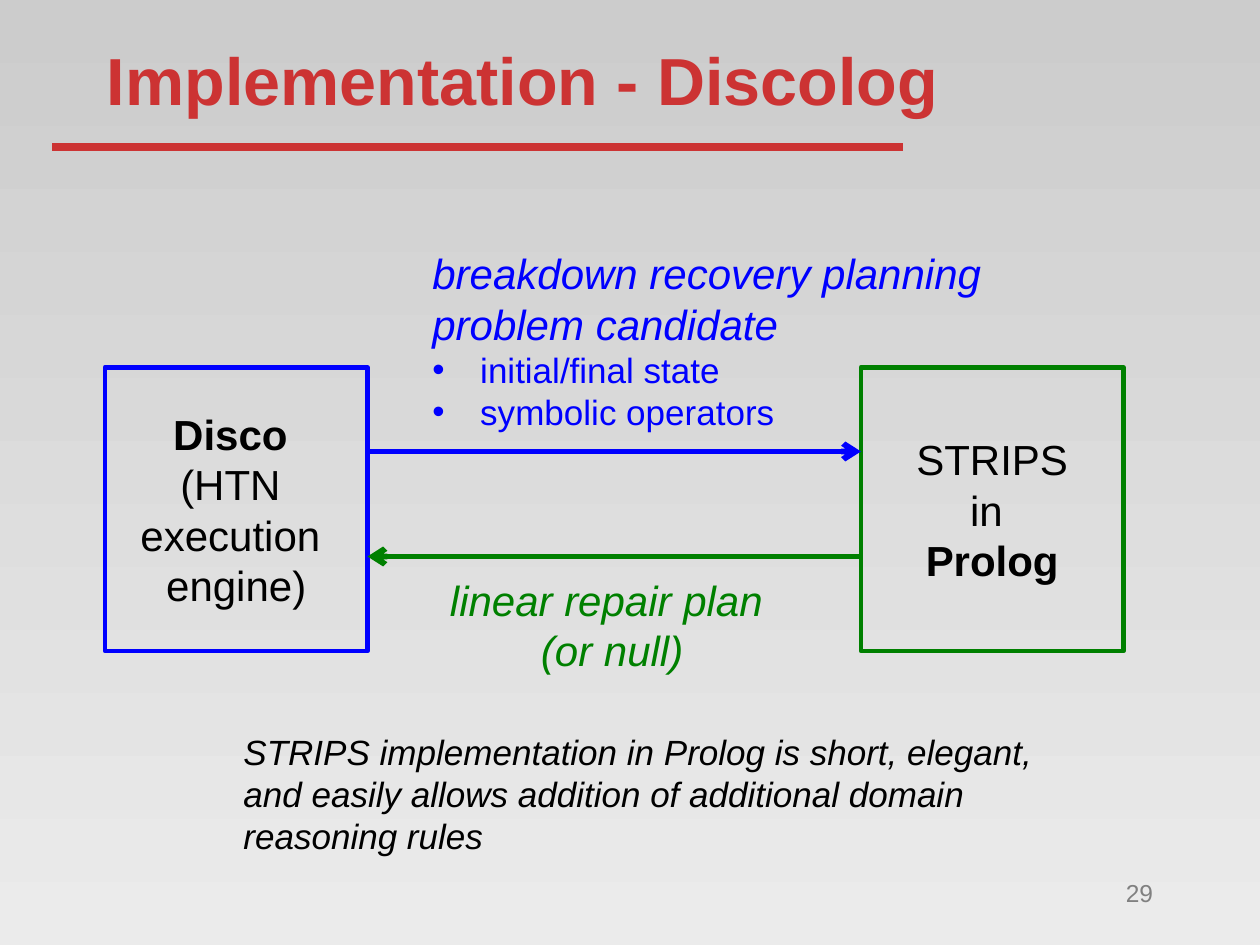
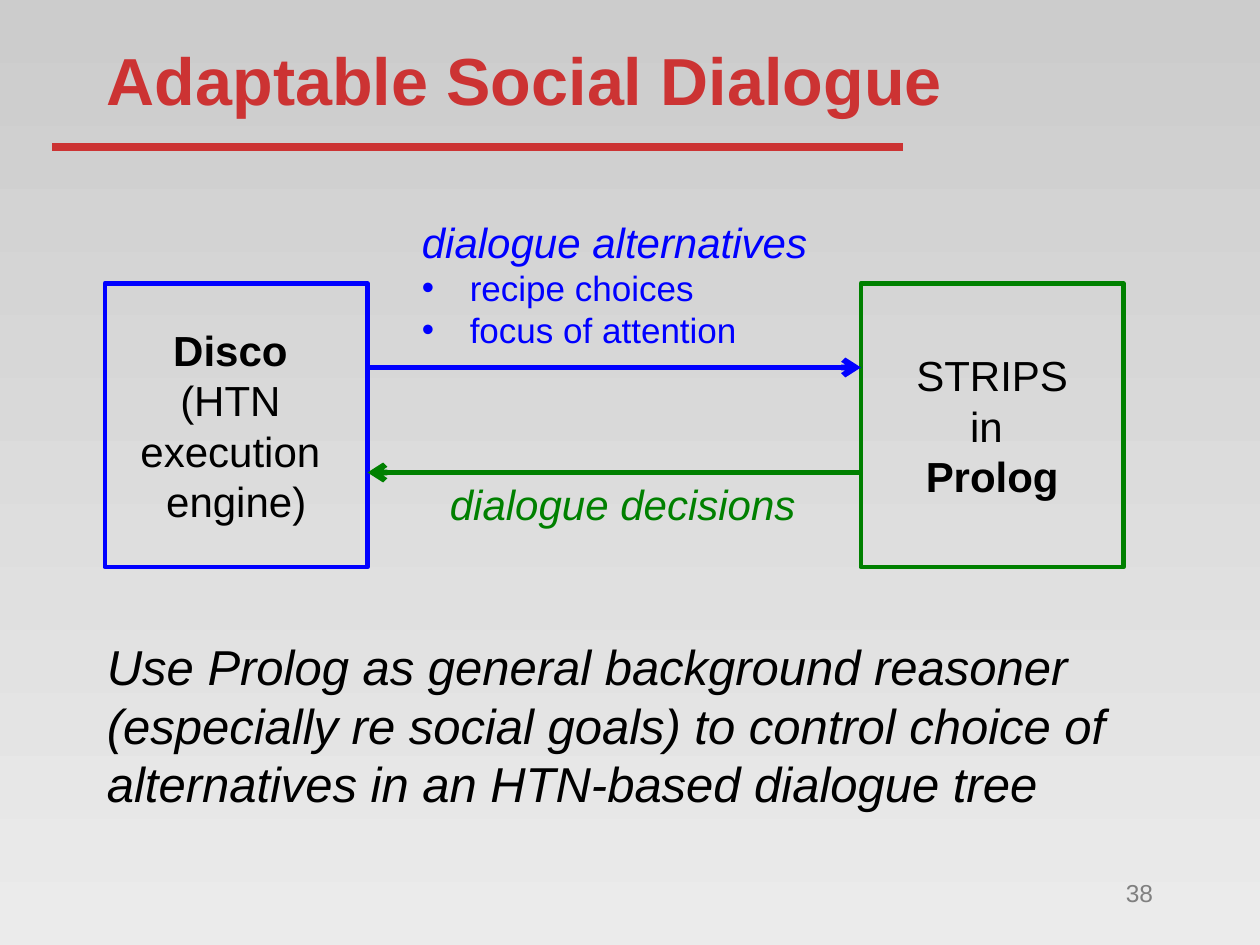
from lxml.etree import SubElement
from pptx import Presentation
from pptx.dml.color import RGBColor
from pptx.enum.shapes import MSO_CONNECTOR, MSO_SHAPE
from pptx.enum.text import MSO_ANCHOR, PP_ALIGN
from pptx.oxml.ns import qn
from pptx.util import Inches, Pt

RED = RGBColor(0xCC, 0x33, 0x33)
BLUE = RGBColor(0x00, 0x00, 0xFF)
GREEN = RGBColor(0x00, 0x80, 0x00)
BLACK = RGBColor(0x00, 0x00, 0x00)
GRAY = RGBColor(0x80, 0x80, 0x80)
SKY_TOP = RGBColor(0xCC, 0xCC, 0xCC)
SKY_BOTTOM = RGBColor(0xEB, 0xEB, 0xEB)

deck = Presentation()
deck.slide_width, deck.slide_height = Inches(10), Inches(7.5)
COLUMN = deck.slide_width / 12
BOX_WIDTH, BOX_HEIGHT = 2.5, 2.7
DISCO_LEFT, STRIPS_LEFT = 1, 8.2
DISCO_RIGHT = DISCO_LEFT + BOX_WIDTH


def write(frame, lines, size, color, bold=False, italic=False,
          align=PP_ALIGN.LEFT, wrap=True, anchor=MSO_ANCHOR.TOP):
    frame.word_wrap = wrap
    frame.vertical_anchor = anchor
    for number, line in enumerate(lines):
        paragraph = frame.paragraphs[0] if number == 0 else frame.add_paragraph()
        bulleted = line.startswith("•")
        paragraph.text = line.lstrip("•")
        paragraph.alignment = align
        font = paragraph.font
        font.name, font.color.rgb = "Arial", color
        font.size = Pt(20 if bulleted else size)
        font.bold = bold or line.strip() in ("Disco", "Prolog")
        font.italic = italic and not bulleted
        if bulleted:
            properties = paragraph._p.get_or_add_pPr()
            properties.set("marL", str(Inches(0.38)))
            properties.set("indent", str(-Inches(0.38)))
            SubElement(properties, qn("a:buFont"), typeface="Arial")
            SubElement(properties, qn("a:buChar"), char="•")


def draw_line(slide, start, end, y, color, width, arrow=False):
    line = slide.shapes.add_connector(
        MSO_CONNECTOR.STRAIGHT, *(int(n * COLUMN) for n in (start, y, end, y)))
    line.line.color.rgb, line.line.width = color, Pt(width)
    if arrow:
        SubElement(line.line._get_or_add_ln(), qn("a:tailEnd"), type="arrow")
    SubElement(line._element.spPr, qn("a:effectLst"))


pages = [
    dict(title="Implementation - Discolog", number="29", box_top=3.5,
         request=["breakdown recovery planning", "problem candidate",
                  "•initial/final state", "•symbolic operators"],
         request_area=(4, 2.3, 5.62, 1.9),
         reply=["linear repair plan", " (or null)"],
         reply_area=(4.1, 5.41, 3.35, 1.09),
         remark="STRIPS implementation in Prolog is short, elegant, and easily "
                "allows addition of additional domain reasoning rules",
         remark_area=(2.2, 6.9, 8.2, 1.33), remark_size=20, remark_space=0),
    dict(title="Adaptable Social Dialogue", number="38", box_top=2.7,
         request=["dialogue alternatives", "•recipe choices",
                  "•focus of attention"],
         request_area=(3.9, 2, 4.04, 1.42),
         reply=["dialogue decisions"],
         reply_area=(4.1, 4.5, 3.66, 0.6),
         remark="Use Prolog as general background reasoner (especially re social "
                "goals) to control choice of alternatives in an HTN-based "
                "dialogue tree",
         remark_area=(0.9, 6, 10.5, 2.2), remark_size=28, remark_space=5.6),
]

for page in pages:
    slide = deck.slides.add_slide(deck.slide_layouts[6])
    backdrop = slide.background.fill
    backdrop.gradient()
    backdrop.gradient_angle = 270
    for stop, shade in zip(backdrop.gradient_stops, (SKY_TOP, SKY_BOTTOM)):
        stop.color.rgb = shade

    draw_line(slide, 0.5, 8.6, 1.4, RED, 5)

    top = page["box_top"]
    for left, color, lines in (
            (DISCO_LEFT, BLUE, ["Disco ", "(HTN ", "execution ", "engine)"]),
            (STRIPS_LEFT, GREEN, ["STRIPS", "in ", "Prolog"])):
        engine = slide.shapes.add_shape(
            MSO_SHAPE.RECTANGLE,
            *(int(n * COLUMN) for n in (left, top, BOX_WIDTH, BOX_HEIGHT)))
        engine.shadow.inherit = False
        engine.fill.background()
        engine.line.color.rgb, engine.line.width = color, Pt(2.75)
        write(engine.text_frame, lines, 24, BLACK, align=PP_ALIGN.CENTER,
              wrap=False, anchor=MSO_ANCHOR.MIDDLE)

    draw_line(slide, DISCO_RIGHT, STRIPS_LEFT, top + 0.8, BLUE, 3.25, arrow=True)
    draw_line(slide, STRIPS_LEFT, DISCO_RIGHT, top + 1.8, GREEN, 3.25, arrow=True)

    for area, lines, size, color, style in (
            ((0.9, 0.2, 10.2, 1.1), [page["title"]], 38, RED,
             dict(bold=True, anchor=MSO_ANCHOR.MIDDLE)),
            ((8.6, 8.3, 2.5, 0.6), [page["number"]], 14, GRAY,
             dict(align=PP_ALIGN.RIGHT)),
            (page["request_area"], page["request"], 24, BLUE,
             dict(italic=True, wrap=False)),
            (page["reply_area"], page["reply"], 24, GREEN,
             dict(italic=True, wrap=False, align=PP_ALIGN.CENTER)),
            (page["remark_area"], [page["remark"]], page["remark_size"], BLACK,
             dict(italic=True))):
        caption = slide.shapes.add_textbox(*(int(n * COLUMN) for n in area))
        write(caption.text_frame, lines, size, color, **style)
    caption.text_frame.paragraphs[0].space_before = Pt(page["remark_space"])

deck.save("out.pptx")
